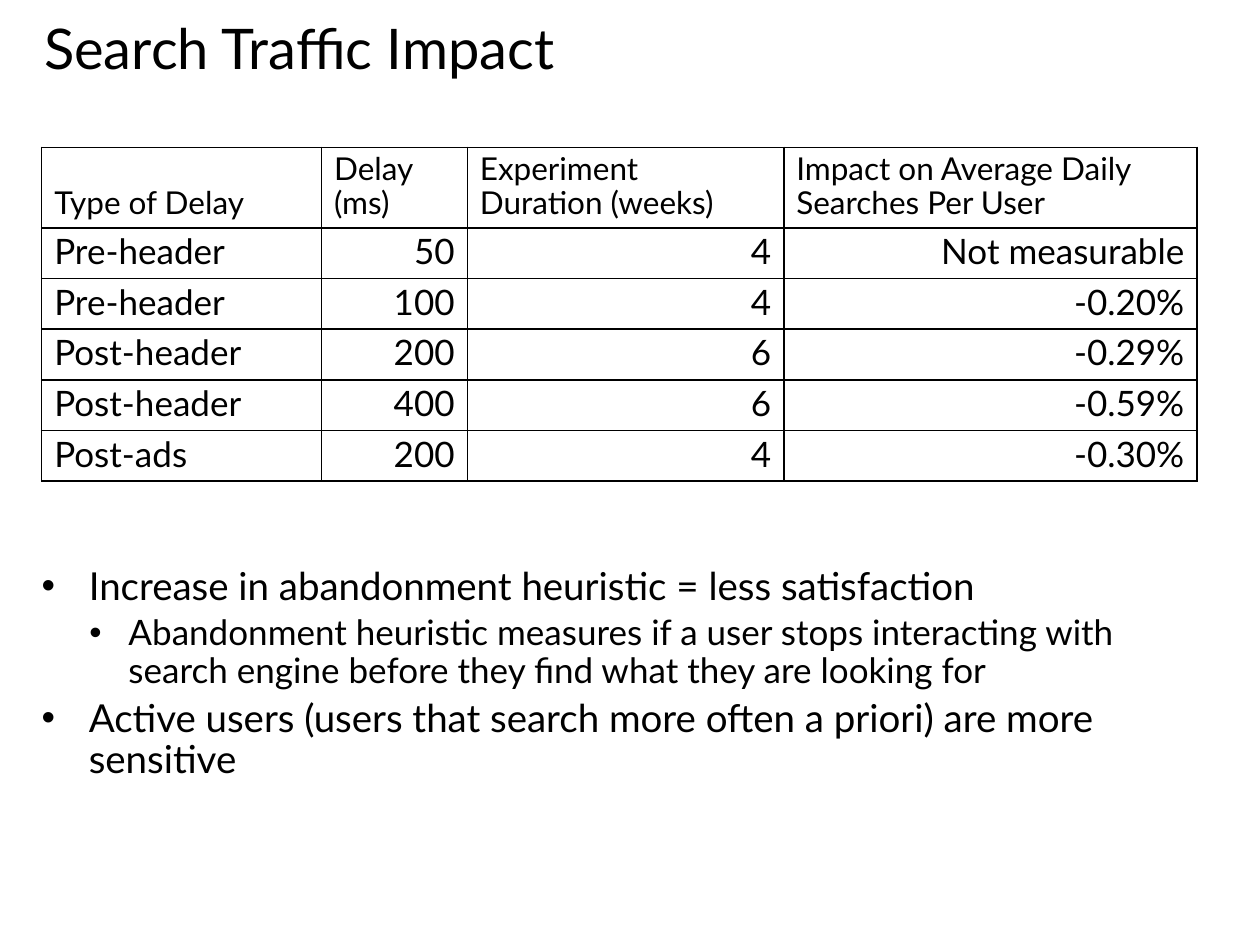
from dataclasses import dataclass

import lxml.etree
import pptx
import pptx.dml.color
import pptx.enum.text
import pptx.oxml.ns
import pptx.util

Cm = pptx.util.Cm
Pt = pptx.util.Pt
Align = pptx.enum.text.PP_ALIGN
Anchor = pptx.enum.text.MSO_ANCHOR
qn = pptx.oxml.ns.qn

COLOURS = {"text": "000000", "border": "000000", "background": "FFFFFF"}
FONT = "Lato"
LINE_SPACING = 0.9
HEADER_HEIGHT = Cm(1.61)
ROW_HEIGHT = Cm(1.02)


@dataclass(frozen=True)
class Column:
    heading: tuple[str, ...]
    width: float
    alignment: Align


@dataclass(frozen=True)
class Bullet:
    text: str
    level: int
    size: int
    left: float
    hanging: float


COLUMNS = [
    Column(("Type of Delay",), 5.64, Align.LEFT),
    Column(("Delay (ms)",), 2.94, Align.RIGHT),
    Column(("Experiment", "Duration (weeks)"), 6.38, Align.RIGHT),
    Column(("Impact on Average Daily Searches Per User",), 8.33, Align.RIGHT),
]
ROWS = [
    ("Pre-header", "50", "4", "Not measurable"),
    ("Pre-header", "100", "4", "-0.20%"),
    ("Post-header", "200", "6", "-0.29%"),
    ("Post-header", "400", "6", "-0.59%"),
    ("Post-ads", "200", "4", "-0.30%"),
]
BULLETS = [
    Bullet("Increase in abandonment heuristic = less satisfaction", 0, 22, 0.95, 0.95),
    Bullet(
        "Abandonment heuristic measures if a user stops interacting with "
        "search engine before they find what they are looking for",
        1, 20, 1.75, 0.79,
    ),
    Bullet(
        "Active users (users that search more often a priori) are more sensitive",
        0, 22, 0.95, 0.95,
    ),
]


def colour(name: str) -> pptx.dml.color.RGBColor:
    return pptx.dml.color.RGBColor.from_string(COLOURS[name])


def write_paragraphs(text_frame, texts: list[str], size: int, alignment: Align) -> list:
    """Fill an empty text frame, one run per paragraph."""
    paragraphs = [text_frame.paragraphs[0]]
    paragraphs += [text_frame.add_paragraph() for _ in texts[1:]]
    for paragraph, text in zip(paragraphs, texts):
        paragraph.alignment = alignment
        paragraph.line_spacing = LINE_SPACING
        run = paragraph.add_run()
        run.text = text
        run.font.name = FONT
        run.font.size = Pt(size)
        run.font.color.rgb = colour("text")
    return paragraphs


def place(placeholder, left: float, top: float, width: float, height: float):
    """Position a placeholder and return its text frame, without insets."""
    placeholder.left, placeholder.top = Cm(left), Cm(top)
    placeholder.width, placeholder.height = Cm(width), Cm(height)
    text_frame = placeholder.text_frame
    text_frame.margin_left = text_frame.margin_right = 0
    text_frame.margin_top = text_frame.margin_bottom = 0
    text_frame.vertical_anchor = Anchor.TOP
    text_frame.word_wrap = True
    text_frame.auto_size = pptx.enum.text.MSO_AUTO_SIZE.SHAPE_TO_FIT_TEXT
    return text_frame


def add_borders(cell) -> None:
    properties = cell._tc.get_or_add_tcPr()
    for side in ("a:lnL", "a:lnR", "a:lnT", "a:lnB"):
        line = lxml.etree.SubElement(properties, qn(side), w=str(Pt(1)))
        fill = lxml.etree.SubElement(line, qn("a:solidFill"))
        lxml.etree.SubElement(fill, qn("a:srgbClr"), val=COLOURS["border"])


def fill_cell(cell, texts: list[str], size: int, alignment: Align) -> None:
    cell.vertical_anchor = Anchor.BOTTOM
    add_borders(cell)
    cell.fill.background()
    write_paragraphs(cell.text_frame, texts, size, alignment)


def add_delay_table(slide) -> None:
    width = sum(Cm(column.width) for column in COLUMNS)
    height = HEADER_HEIGHT + ROW_HEIGHT * len(ROWS)
    shape = slide.shapes.add_table(
        len(ROWS) + 1, len(COLUMNS), Cm(0.84), Cm(2.97), width, height
    )
    table = shape.table
    table.first_row = table.horz_banding = False
    for row in table.rows:
        row.height = ROW_HEIGHT
    table.rows[0].height = HEADER_HEIGHT
    for index, column in enumerate(COLUMNS):
        table.columns[index].width = Cm(column.width)
        fill_cell(table.cell(0, index), list(column.heading), 18, Align.LEFT)
        for row_index, values in enumerate(ROWS, start=1):
            fill_cell(table.cell(row_index, index), [values[index]], 20, column.alignment)


def format_bullet(paragraph, bullet: Bullet) -> None:
    paragraph.level = bullet.level
    paragraph.space_before = Pt(bullet.size * 0.2)
    paragraph.runs[0].font.size = Pt(bullet.size)
    properties = paragraph._p.get_or_add_pPr()
    properties.set("marL", str(Cm(bullet.left)))
    properties.set("indent", str(-Cm(bullet.hanging)))
    lxml.etree.SubElement(properties, qn("a:buFont"), typeface="Arial")
    lxml.etree.SubElement(properties, qn("a:buChar"), char="•")


def main() -> None:
    presentation = pptx.Presentation()
    presentation.slide_width, presentation.slide_height = Cm(25.4), Cm(19.05)
    slide = presentation.slides.add_slide(presentation.slide_layouts[1])
    slide.background.fill.solid()
    slide.background.fill.fore_color.rgb = colour("background")

    title = place(slide.shapes.title, 0.89, 0.43, 23.29, 1.22)
    write_paragraphs(title, ["Search Traffic Impact"], 32, Align.LEFT)
    add_delay_table(slide)

    body = place(slide.placeholders[1], 0.84, 11.43, 22.43, 4.39)
    texts = [bullet.text for bullet in BULLETS]
    paragraphs = write_paragraphs(body, texts, 22, Align.LEFT)
    for paragraph, bullet in zip(paragraphs, BULLETS):
        format_bullet(paragraph, bullet)

    presentation.save("out.pptx")


if __name__ == "__main__":
    main()
